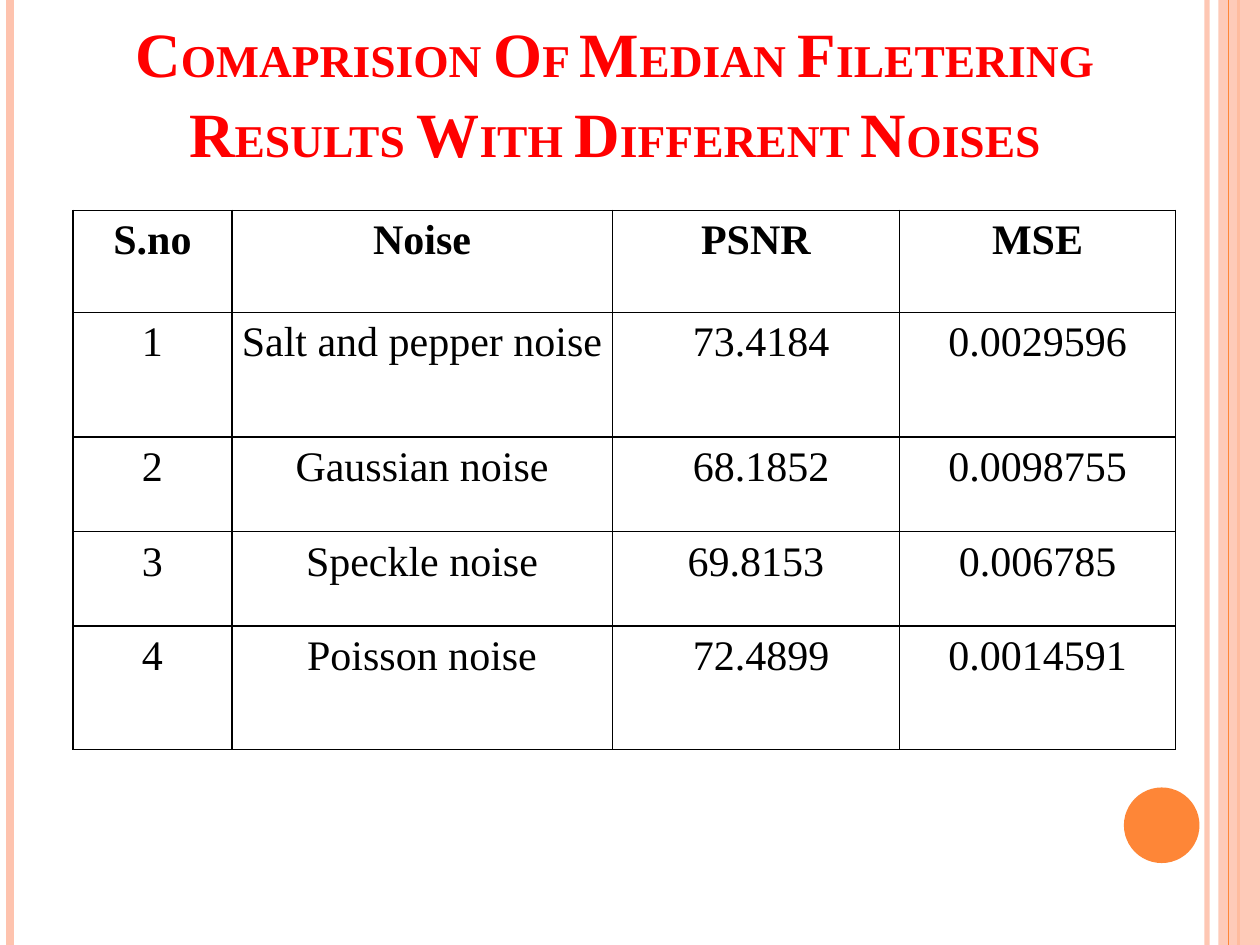
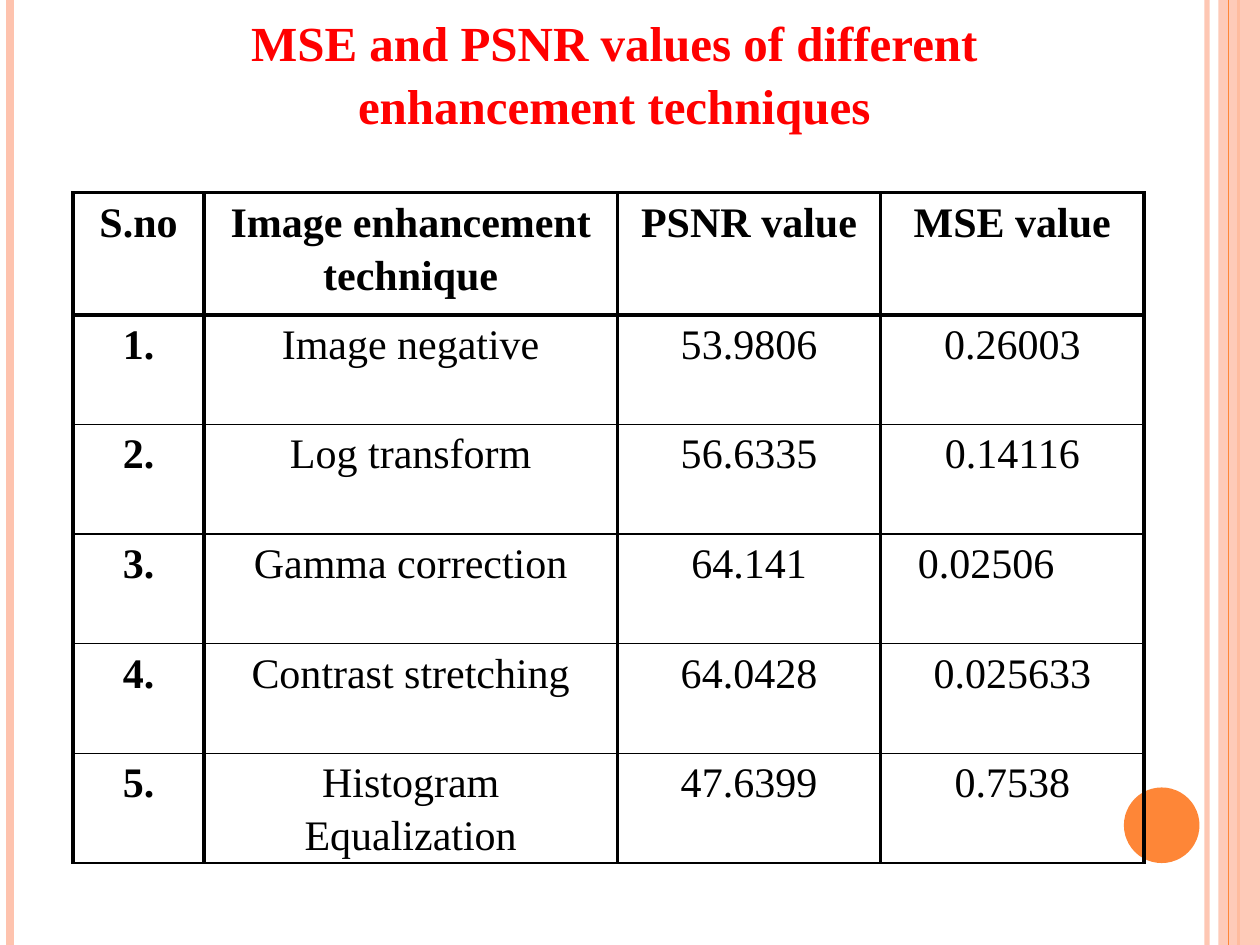
from lxml.etree import SubElement
from pptx import Presentation
from pptx.dml.color import RGBColor
from pptx.enum.shapes import MSO_CONNECTOR, MSO_SHAPE
from pptx.enum.text import MSO_ANCHOR, MSO_AUTO_SIZE, PP_ALIGN
from pptx.oxml.ns import qn
from pptx.util import Inches, Pt

FONT = "Times New Roman"
RED = RGBColor(0xFF, 0x00, 0x00)
BLACK = RGBColor(0x00, 0x00, 0x00)
WHITE = RGBColor(0xFF, 0xFF, 0xFF)
PEACH = RGBColor(0xFE, 0xC3, 0xAE)
ORANGE = RGBColor(0xFE, 0x86, 0x37)

THIN, THICK = 1, 2.25
WIDTH, HEIGHT = Inches(10), Inches(7.5)
PAD = Inches(0.07)
TABLE_LEFT = 0.58


# Shared decoration
def set_alpha(fill, percent):
    color = fill._xPr.find(qn("a:solidFill"))[0]
    SubElement(color, qn("a:alpha"), val=str(percent * 1000))


def add_stripe(s, x, color, width, alpha=None):
    line = s.shapes.add_connector(MSO_CONNECTOR.STRAIGHT, Inches(x), 0, Inches(x), HEIGHT)
    line.line.color.rgb = color
    line.line.width = Pt(width)
    if alpha:
        set_alpha(line.line.fill, alpha)
    SubElement(line._element.spPr, qn("a:effectLst"))
    return line


def add_plain_shape(s, kind, box, color, alpha=None):
    sp = s.shapes.add_shape(kind, *map(Inches, box))
    sp.shadow.inherit = False
    sp.fill.solid()
    sp.fill.fore_color.rgb = color
    sp.line.fill.background()
    if alpha:
        set_alpha(sp.fill, alpha)
    return sp


def decorate_layout(layout, s):
    """Draw the bands on a slide, then move them to its layout."""
    tree = layout.shapes._spTree
    for ph in list(layout.placeholders)[1:]:
        tree.remove(ph._element)
    bands = [
        add_stripe(s, 9.58, PEACH, 3, alpha=93),
        add_stripe(s, 0.08, PEACH, 4.5),
        add_stripe(s, 9.83, ORANGE, 1.5),
        add_plain_shape(s, MSO_SHAPE.RECTANGLE, (9.67, 0, 0.33, 7.5), PEACH, alpha=87),
        add_stripe(s, 9.75, ORANGE, 0.75),
        add_plain_shape(s, MSO_SHAPE.OVAL, (8.92, 6.25, 0.6, 0.6), ORANGE),
    ]
    for band in bands:
        tree.append(band._element)


# Titles
def start_title(s, left, width, height):
    title = s.shapes.title
    title.left, title.top = Inches(left), 0
    title.width, title.height = Inches(width), Inches(height)
    tf = title.text_frame
    tf.word_wrap = True
    tf.auto_size = MSO_AUTO_SIZE.NONE
    tf.vertical_anchor = MSO_ANCHOR.TOP
    tf.margin_top = PAD
    p = tf.paragraphs[0]
    p.alignment = PP_ALIGN.CENTER
    p.line_spacing = 1.07
    p.font.name, p.font.bold, p.font.color.rgb = FONT, True, RED
    return p


def add_capital_runs(p, text, large, small):
    """Set each word with a large initial and smaller capitals after it."""
    words = text.upper().split()
    for i, word in enumerate(words):
        gap = " " if i < len(words) - 1 else ""
        for part, size in ((word[0], large), (word[1:] + gap, small)):
            r = p.add_run()
            r.text = part
            r.font.size = Pt(size)


# Tables
def set_borders(cell, widths):
    tcPr = cell._tc.get_or_add_tcPr()
    for i, (side, width) in enumerate(zip("LRTB", widths)):
        ln = SubElement(tcPr, qn(f"a:ln{side}"), w=str(Pt(width)))
        fill = SubElement(ln, qn("a:solidFill"))
        SubElement(fill, qn("a:srgbClr"), val=str(BLACK))
        tcPr.insert(i, ln)


def format_cell(cell, text, bold, fill):
    cell.margin_left = cell.margin_right = PAD
    cell.margin_top = cell.margin_bottom = 0
    if fill is None:
        cell.fill.background()
    else:
        cell.fill.solid()
        cell.fill.fore_color.rgb = fill
    cell.text = text
    p = cell.text_frame.paragraphs[0]
    p.alignment = PP_ALIGN.CENTER
    p.line_spacing = 1.15
    p.font.name, p.font.size = FONT, Pt(24)
    p.font.bold, p.font.color.rgb = bold, BLACK


def add_grid(s, top, cols, heights, rows, frame=THIN, bold_first=False, fill=None):
    """Add a table; frame is the width of the uprights and header lines."""
    table = s.shapes.add_table(len(rows), len(cols), Inches(TABLE_LEFT), Inches(top),
                               Inches(sum(cols)), Inches(sum(heights))).table
    table.first_row = table.horz_banding = False
    for column, width in zip(table.columns, cols):
        column.width = Inches(width)
    for r, (row, height) in enumerate(zip(rows, heights)):
        table.rows[r].height = Inches(height)
        above = frame if r <= 1 else THIN
        below = frame if r == 0 else THIN
        for c, text in enumerate(row):
            cell = table.cell(r, c)
            format_cell(cell, text, r == 0 or (bold_first and c == 0), fill)
            set_borders(cell, (frame, frame, above, below))
    return table


# Slides
def median_filter_slide(s):
    p = start_title(s, 0.17, 9.42, 1.65)
    add_capital_runs(p, "Comaprision of Median Filetering Results with Different Noises", 36, 26)
    rows = [
        ("S.no", "Noise", "PSNR", "MSE"),
        ("1", "Salt and pepper noise", "73.4184", "0.0029596"),
        ("2", "Gaussian noise", "68.1852", "0.0098755"),
        ("3", "Speckle noise", "69.8153", "0.006785"),
        ("4", "Poisson noise", "72.4899", "0.0014591"),
    ]
    table = add_grid(s, 1.67, (1.26, 3.02, 2.28, 2.19), (0.81, 0.99, 0.75, 0.75, 0.98),
                     rows, fill=WHITE)
    for r in (1, 2, 4):
        table.cell(r, 2).margin_left = PAD + Pt(6)


def enhancement_slide(s):
    p = start_title(s, 1, 7.75, 1.04)
    p.text = "MSE and PSNR values of different enhancement techniques"
    p.font.size = Pt(28)
    rows = [
        ("S.no", "Image enhancement technique", "PSNR value", "MSE value"),
        ("1.", "Image negative", "53.9806", "0.26003"),
        ("2.", "Log transform", "56.6335", "0.14116"),
        ("3.", "Gamma correction", "64.141", "0.02506"),
        ("4.", "Contrast stretching", "64.0428", "0.025633"),
        ("5.", "Histogram Equalization", "47.6399", "0.7538"),
    ]
    table = add_grid(s, 1.53, (1.04, 3.28, 2.09, 2.09), (0.97,) + (0.87,) * 5,
                     rows, frame=THICK, bold_first=True)
    table.cell(3, 3).margin_right = PAD + Pt(30)


def main():
    prs = Presentation()
    prs.slide_width, prs.slide_height = WIDTH, HEIGHT
    layout = prs.slide_layouts.get_by_name("Title Only")
    first, second = (prs.slides.add_slide(layout) for _ in range(2))
    decorate_layout(layout, first)
    median_filter_slide(first)
    enhancement_slide(second)
    prs.save("out.pptx")


if __name__ == "__main__":
    main()
